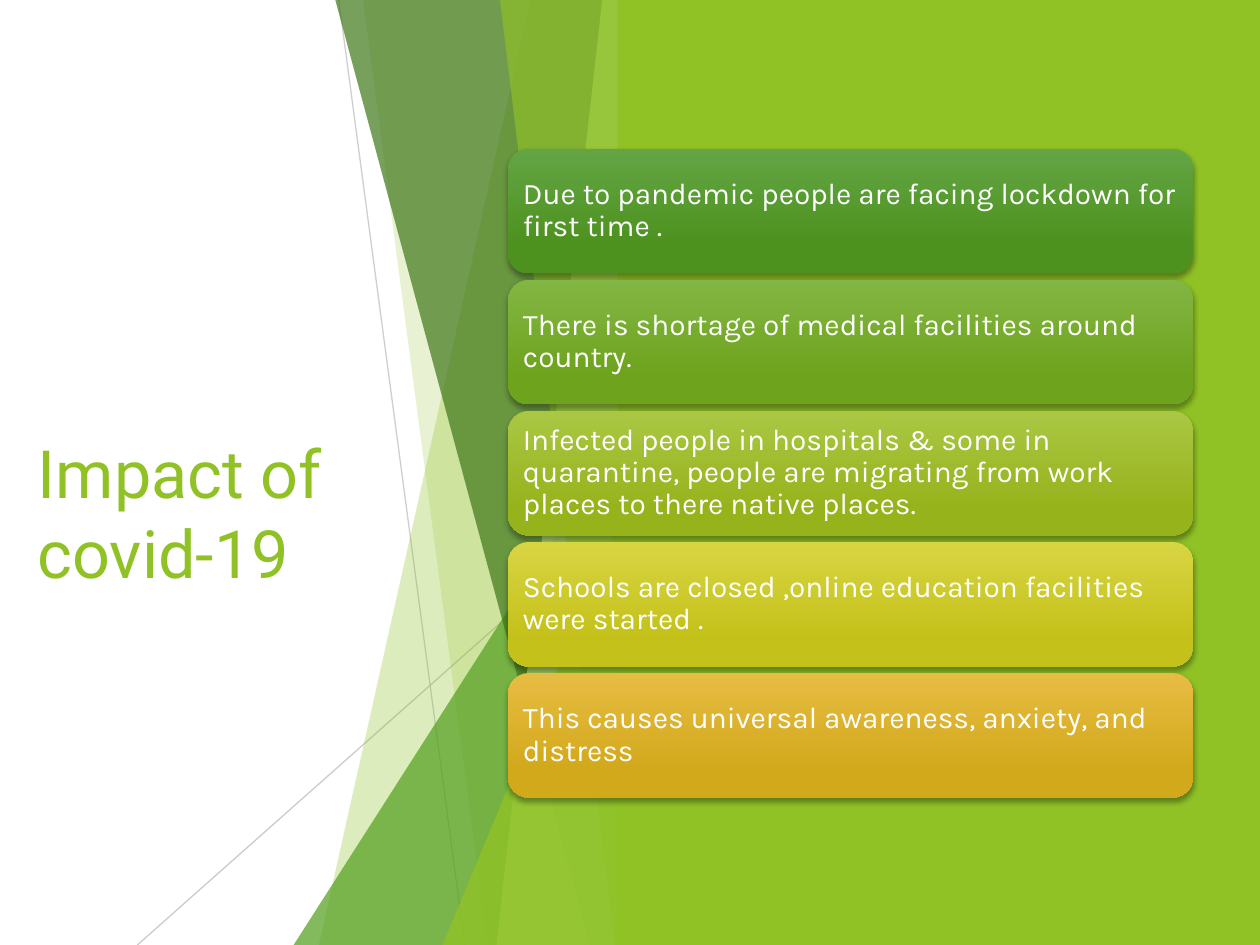
import lxml.etree
import pptx
import pptx.dml.color
import pptx.enum.shapes
import pptx.enum.text
import pptx.oxml.ns
import pptx.util

Cm = pptx.util.Cm
Pt = pptx.util.Pt
qn = pptx.oxml.ns.qn
SHAPE = pptx.enum.shapes.MSO_SHAPE
ANCHOR = pptx.enum.text.MSO_ANCHOR
ALIGN = pptx.enum.text.PP_ALIGN

GREEN = "90C226"
WHITE = "FFFFFF"

# Facets: distance from the right edge at top and bottom (cm), colour, opacity
LOWER_FACETS = [(2.01, 6.27, GREEN, 30), (5.38, 2.87, GREEN, 20)]
UPPER_FACETS = [(5.94, 0.81, "3F7819", 70), (0.56, 2.69, "C0E474", 70),
                (2.62, 0.3, GREEN, 65)]
# Corner triangles: width, height (cm), colour, opacity
BACK_TRIANGLE = (6.78, 10.59, "54A021", 72)
FRONT_TRIANGLE = (3.78, 9.07, GREEN, 80)
# Thin lines: distance from right and top at each end (cm), opacity
THIN_LINES = [(5.87, 0, 3.33, 19.05, 75), (0, 10.24, 9.93, 19.05, 80)]

# Cards: text, gradient start, gradient end
CARDS = [
    ("Due to pandemic people are facing lockdown for first time .", "63A545", "4D921E"),
    ("There is shortage of medical facilities around country.", "82B644", "6EA31D"),
    ("Infected people in hospitals & some in quarantine, people are migrating "
     "from work places to there native places.", "AAC744", "97B31C"),
    ("Schools are closed ,online education facilities were started .", "D8D543", "C4C11A"),
    ("This causes universal awareness, anxiety, and distress", "E7BC43", "D2A91B"),
]


def colour(hex_string):
    return pptx.dml.color.RGBColor.from_string(hex_string)


def apply_format(target, values):
    for name, value in values.items():
        setattr(target, name, value)


def set_opacity(shape, percent):
    for element in shape._element.spPr.iter(qn("a:srgbClr")):
        lxml.etree.SubElement(element, qn("a:alpha"), val=str(percent * 1000))


def paint(shape, hex_string, opacity=100):
    shape.shadow.inherit = False
    shape.line.fill.background()
    shape.fill.solid()
    shape.fill.fore_color.rgb = colour(hex_string)
    if opacity < 100:
        set_opacity(shape, opacity)


def write(shape, text, frame_format, paragraph_format, font_format, hex_string):
    frame = shape.text_frame
    apply_format(frame, {"word_wrap": True, "vertical_anchor": ANCHOR.MIDDLE, **frame_format})
    paragraph = frame.paragraphs[0]
    apply_format(paragraph, {"alignment": ALIGN.LEFT, **paragraph_format})
    run = paragraph.add_run()
    run.text = text
    apply_format(run.font, font_format)
    run.font.color.rgb = colour(hex_string)


def add_title(slide, left, top, width, height):
    box = slide.shapes.add_textbox(Cm(left), Cm(top), Cm(width), Cm(height))
    # The deep top inset sets the title below the middle
    write(box, "Impact of covid-19", {"margin_top": Cm(1.69)}, {},
          {"size": Pt(38), "name": "Roboto"}, GREEN)


def add_facets(slide, left, top, width, height):
    right, bottom = left + width, top + height

    def add_facet(top_reach, bottom_reach, hex_string, opacity):
        builder = slide.shapes.build_freeform(Cm(right - top_reach), Cm(top))
        builder.add_line_segments([
            (Cm(right), Cm(top)), (Cm(right), Cm(bottom)),
            (Cm(right - bottom_reach), Cm(bottom))], close=True)
        paint(builder.convert_to_shape(), hex_string, opacity)

    def add_triangle(base, rise, hex_string, opacity):
        triangle = slide.shapes.add_shape(
            SHAPE.ISOSCELES_TRIANGLE, Cm(right - base), Cm(bottom - rise), Cm(base), Cm(rise))
        triangle.adjustments[0] = 1
        paint(triangle, hex_string, opacity)

    for x1, y1, x2, y2, opacity in THIN_LINES:
        line = slide.shapes.add_connector(
            pptx.enum.shapes.MSO_CONNECTOR.STRAIGHT,
            Cm(right - x1), Cm(top + y1), Cm(right - x2), Cm(top + y2))
        line.line.width = Pt(0.75)
        line.line.color.rgb = colour("BFBFBF")
        set_opacity(line, opacity)
        lxml.etree.SubElement(line._element.spPr, qn("a:effectLst"))
    for facet in LOWER_FACETS:
        add_facet(*facet)
    add_triangle(*BACK_TRIANGLE)
    for facet in UPPER_FACETS:
        add_facet(*facet)
    add_triangle(*FRONT_TRIANGLE)


def add_panel(slide, left, top, width, height):
    panel = slide.shapes.add_shape(SHAPE.RECTANGLE, Cm(left), Cm(top), Cm(width), Cm(height))
    paint(panel, GREEN)


def add_soft_shadow(shape):
    shape.shadow.inherit = False
    effects = shape._element.spPr.find(qn("a:effectLst"))
    shadow = lxml.etree.SubElement(
        effects, qn("a:outerShdw"), blurRad=str(Pt(3)), dist=str(Pt(2)),
        dir="5400000", rotWithShape="0")
    lxml.etree.SubElement(shadow, qn("a:srgbClr"), val="000000")
    set_opacity(shape, 35)


def add_cards(slide, left, top, width, height):
    gap = 0.13
    card_height = (height - gap * (len(CARDS) - 1)) / len(CARDS)
    insets = {f"margin_{side}": Cm(0.18) for side in ("left", "top", "right", "bottom")}
    for index, (text, start, end) in enumerate(CARDS):
        card = slide.shapes.add_shape(
            SHAPE.ROUNDED_RECTANGLE, Cm(left), Cm(top + index * (card_height + gap)),
            Cm(width), Cm(card_height))
        card.line.fill.background()
        add_soft_shadow(card)
        card.fill.gradient()
        card.fill.gradient_angle = 270
        for stop, position, shade in zip(card.fill.gradient_stops, (0, 0.78), (start, end)):
            stop.position = position
            stop.color.rgb = colour(shade)
        write(card, text, insets, {"line_spacing": 0.9},
              {"size": Pt(17), "name": "Karla"}, WHITE)


presentation = pptx.Presentation()
apply_format(presentation, {"slide_width": Cm(25.4), "slide_height": Cm(19.05)})
slide = presentation.slides.add_slide(presentation.slide_layouts[6])
slide.background.fill.solid()
slide.background.fill.fore_color.rgb = colour(WHITE)

add_title(slide, 0.51, 3.84, 8.23, 11.38)
add_facets(slide, 0, 0, 12.7, 19.05)
add_panel(slide, 12.45, 0, 12.95, 19.05)
add_cards(slide, 10.24, 3, 13.82, 13.08)

presentation.save("out.pptx")
